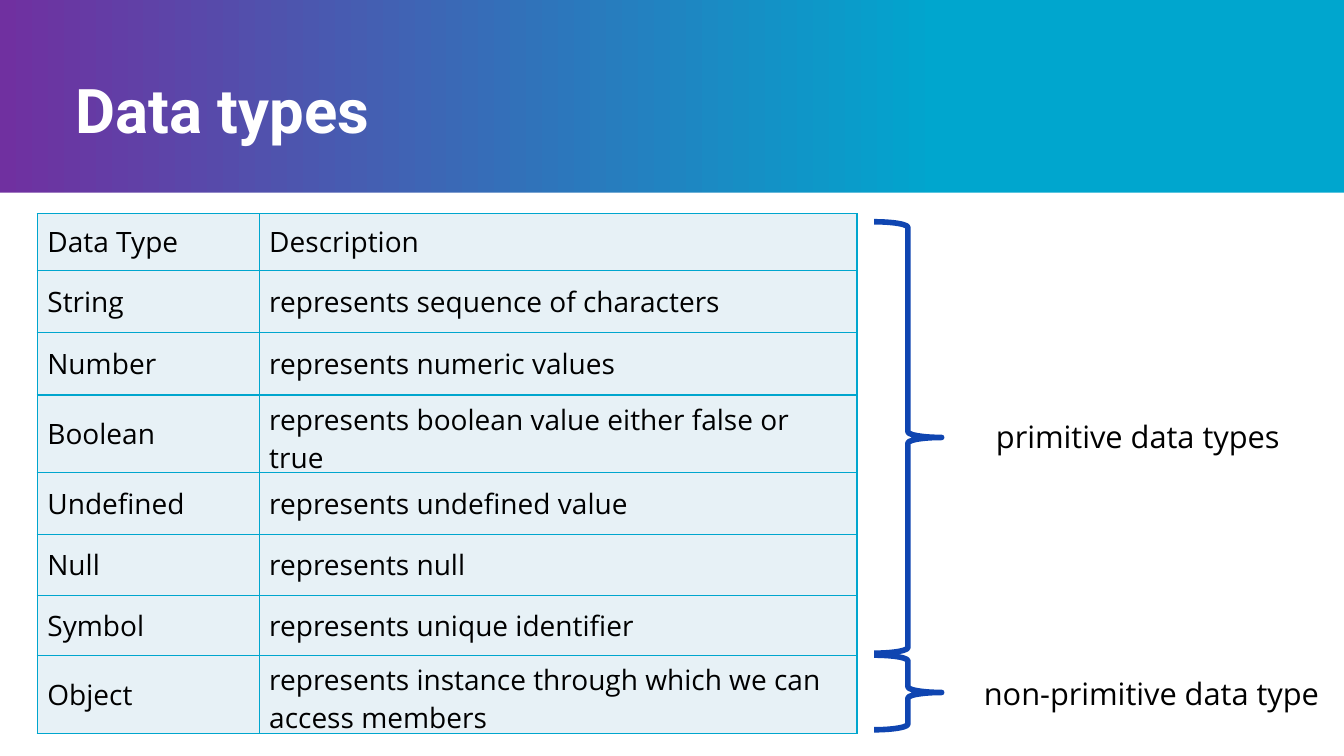
import copy

import pptx
import pptx.dml.color
import pptx.enum.shapes
import pptx.enum.text
import pptx.oxml
import pptx.oxml.ns
import pptx.util
from pptx.util import Inches

RGBColor = pptx.dml.color.RGBColor
CYAN = RGBColor(0x00, 0xA6, 0xCE)
PURPLE = RGBColor(0x70, 0x30, 0xA0)
WHITE = RGBColor(0xFF, 0xFF, 0xFF)
BLACK = RGBColor(0x00, 0x00, 0x00)
PALE_BLUE = RGBColor(0xE7, 0xF1, 0xF6)
BRACE_BLUE = RGBColor(0x0F, 0x45, 0xB1)
MIDDLE = pptx.enum.text.MSO_ANCHOR.MIDDLE

DATA_TYPES = [
    ("Data Type", "Description"),
    ("String", "represents sequence of characters"),
    ("Number", "represents numeric values"),
    ("Boolean", "represents boolean value either false or true"),
    ("Undefined", "represents undefined value"),
    ("Null", "represents null"),
    ("Symbol", "represents unique identifier"),
    ("Object", "represents instance through which we can access members"),
]
COLUMN_WIDTHS = [2.2, 5.93]
ROW_HEIGHTS = [0.56, 0.62, 0.62, 0.62, 0.62, 0.6, 0.6, 0.64]


class SlideBuilder:
    """Draws styled elements on the current slide."""

    title_font = {"name": "Roboto", "size": pptx.util.Pt(44), "bold": True}
    label_font = {"name": "Open Sans", "size": pptx.util.Pt(22)}
    cell_font = {"name": "Open Sans", "size": pptx.util.Pt(20)}

    def __init__(self, slide):
        self.slide = slide

    def add_run(self, frame, text, font_format, color):
        run = frame.paragraphs[0].add_run()
        run.text = text
        for name, value in font_format.items():
            setattr(run.font, name, value)
        run.font.color.rgb = color

    def background(self):
        fill = self.slide.background.fill
        fill.gradient()
        fill.gradient_angle = 180
        first, last = fill.gradient_stops
        first.color.rgb, last.color.rgb = CYAN, PURPLE
        first_element = self.slide.element.xpath(".//a:gs")[0]
        middle_element = copy.deepcopy(first_element)
        middle_element.set("pos", "30000")
        first_element.addnext(middle_element)

    def shape(self, kind, box, fill=None, line=None):
        shape = self.slide.shapes.add_shape(kind, *map(Inches, box))
        shape.shadow.inherit = False
        if fill is None:
            shape.fill.background()
        else:
            shape.fill.solid()
            shape.fill.fore_color.rgb = fill
        if line is None:
            shape.line.fill.background()
        else:
            shape.line.color.rgb = line
            shape.line.width = pptx.util.Pt(4)

    def text(self, text, box, font_format, color, frame_format, line_spacing=None):
        frame = self.slide.shapes.add_textbox(*map(Inches, box)).text_frame
        for name, value in frame_format.items():
            setattr(frame, name, value)
        frame.paragraphs[0].line_spacing = line_spacing
        self.add_run(frame, text, font_format, color)

    def cell(self, cell, text):
        cell.vertical_anchor = MIDDLE
        cell.fill.solid()
        cell.fill.fore_color.rgb = PALE_BLUE
        self.add_run(cell.text_frame, text, self.cell_font, BLACK)
        properties = cell._tc.get_or_add_tcPr()
        for index, side in enumerate("LRTB"):
            border = pptx.oxml.parse_xml(
                f'<a:ln{side} {pptx.oxml.ns.nsdecls("a")} w="12700"><a:solidFill>'
                f'<a:srgbClr val="{CYAN}"/></a:solidFill></a:ln{side}>'
            )
            properties.insert(index, border)

    def table(self, rows, left, top, widths, heights):
        box = (left, top, sum(widths), sum(heights))
        table = self.slide.shapes.add_table(
            len(rows), len(widths), *map(Inches, box)
        ).table
        table.first_row = table.horz_banding = False
        for column, width in zip(table.columns, widths):
            column.width = Inches(width)
        for row, height, texts in zip(table.rows, heights, rows):
            row.height = Inches(height)
            for cell, text in zip(row.cells, texts):
                self.cell(cell, text)


def main():
    presentation = pptx.Presentation()
    presentation.slide_width = Inches(13.33)
    presentation.slide_height = Inches(7.5)
    builder = SlideBuilder(presentation.slides.add_slide(presentation.slide_layouts[6]))
    shapes = pptx.enum.shapes.MSO_SHAPE

    builder.background()
    builder.shape(shapes.RECTANGLE, (0, 1.91, 13.33, 5.59), fill=WHITE)
    title_frame = {"word_wrap": True, "margin_left": 0, "vertical_anchor": MIDDLE}
    builder.text("Data types", (0.75, 0.75, 11.83, 0.75), builder.title_font,
                 WHITE, title_frame, line_spacing=0.9)
    builder.table(DATA_TYPES, 0.37, 2.12, COLUMN_WIDTHS, ROW_HEIGHTS)

    for top, height in [(2.2, 4.28), (6.5, 0.74)]:
        builder.shape(shapes.RIGHT_BRACE, (8.67, top, 0.67, height), line=BRACE_BLUE)
    label_frame = {
        "word_wrap": False,
        "auto_size": pptx.enum.text.MSO_AUTO_SIZE.SHAPE_TO_FIT_TEXT,
    }
    for text, box in [
        ("primitive data types", (9.78, 4.1, 3.06, 0.47)),
        ("non-primitive data type", (9.66, 6.64, 3.57, 0.47)),
    ]:
        builder.text(text, box, builder.label_font, BLACK, label_frame)

    presentation.save("out.pptx")


if __name__ == "__main__":
    main()
